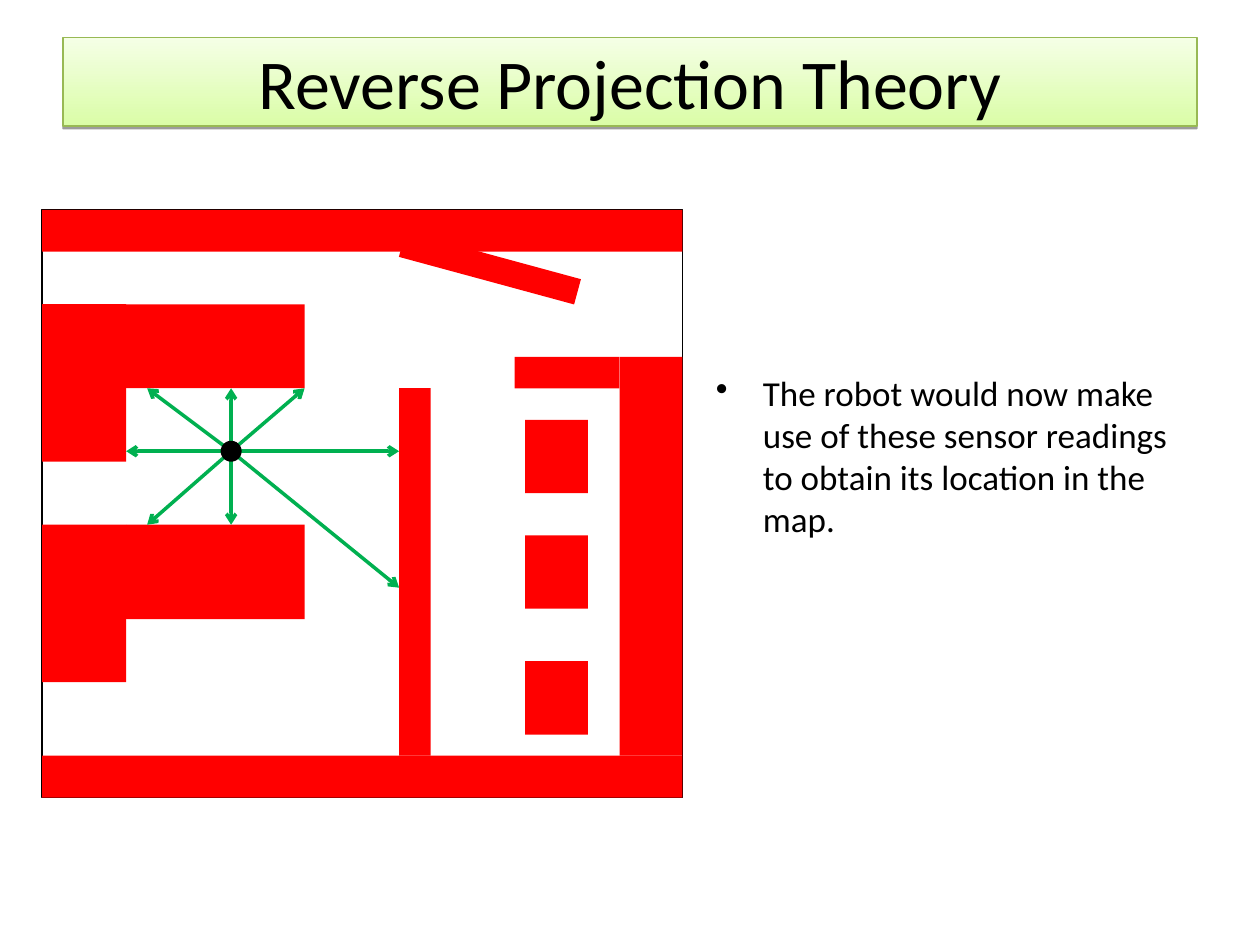
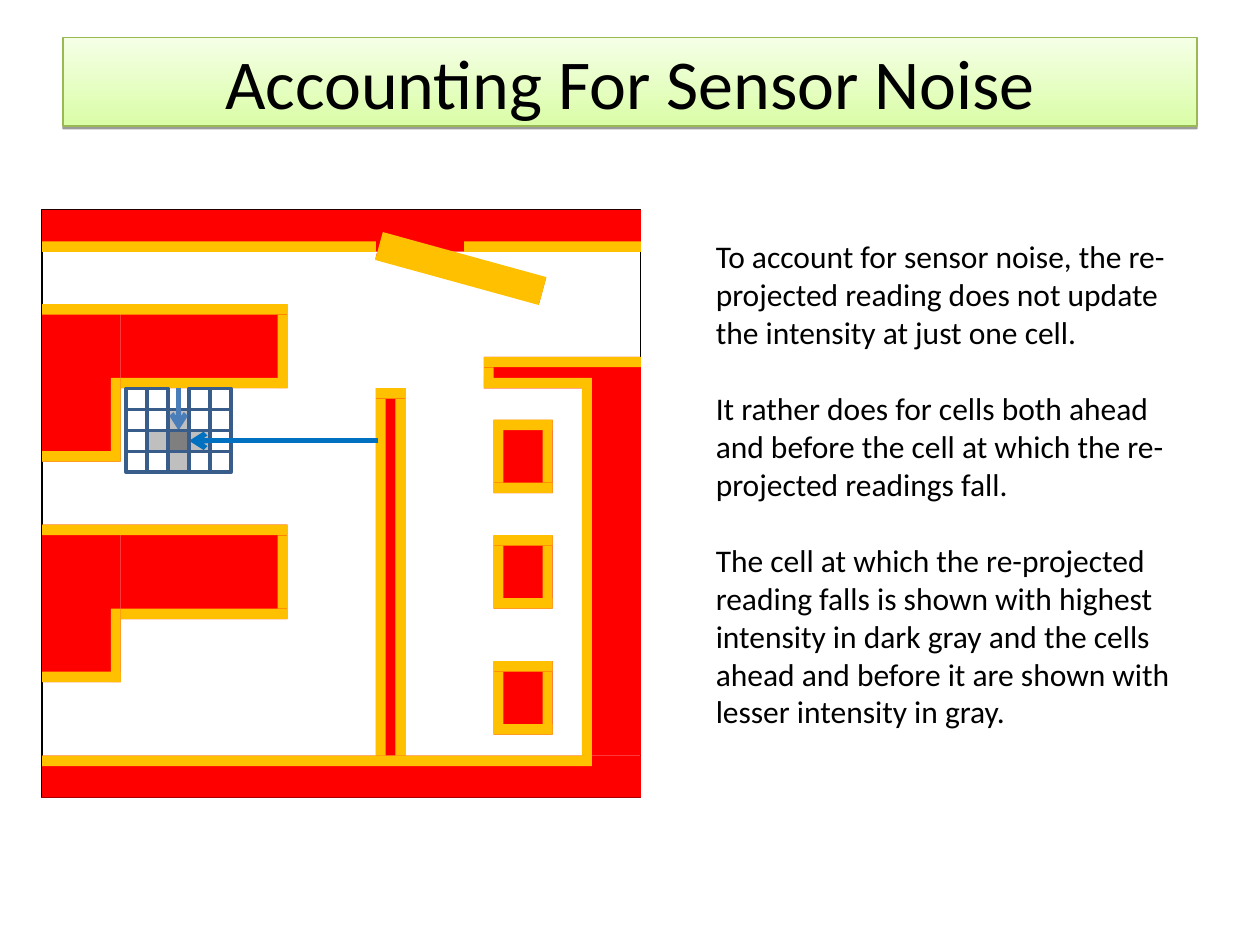
from dataclasses import dataclass

from lxml.etree import SubElement
from pptx import Presentation
from pptx.dml.color import RGBColor
from pptx.enum.shapes import MSO_CONNECTOR as Connector, MSO_SHAPE as Preset
from pptx.enum.text import MSO_ANCHOR as Anchor, PP_ALIGN as Align
from pptx.oxml.ns import qn
from pptx.util import Cm, Pt

BLACK = RGBColor(0x00, 0x00, 0x00)
WHITE = RGBColor(0xFF, 0xFF, 0xFF)
WALL_RED = RGBColor(0xFF, 0x00, 0x00)
EDGE_AMBER = RGBColor(0xFF, 0xC0, 0x00)
SENSOR_GREEN = RGBColor(0x00, 0xB0, 0x50)
READING_BLUE = RGBColor(0x00, 0x70, 0xC0)
READING_STEEL = RGBColor(0x4A, 0x7E, 0xBB)
CELL_LINE = RGBColor(0x38, 0x5D, 0x8A)
LIGHT_GRAY = RGBColor(0xBF, 0xBF, 0xBF)
DARK_GRAY = RGBColor(0x7F, 0x7F, 0x7F)
TITLE_LINE = RGBColor(0x98, 0xB9, 0x54)
TITLE_BOTTOM = RGBColor(0xDA, 0xFD, 0xA7)
TITLE_TOP = RGBColor(0xF5, 0xFF, 0xE6)
FONT = "Calibri"

MAP_COLUMNS, MAP_ROWS = 61, 56
CHAIRS = [(46, row, 6, 7) for row in (20, 31, 43)]
WALLS = [
    (0, 9, 8, 15), (8, 9, 17, 8),
    (0, 30, 8, 15), (8, 30, 17, 9),
    (0, 52, 61, 4), (34, 17, 3, 35), (0, 0, 61, 4),
    (55, 14, 6, 38), (45, 14, 10, 3),
] + CHAIRS
DOOR = (34, 4.3, 17.3, 2.5)
DOOR_EDGE = (34, 4.22, 17.3, 2.76)
WALL_EDGES = [
    (0, 3, 34, 1), (43, 3, 18, 1), (0, 52, 55, 1),
    (0, 9, 25, 1), (24, 10, 1, 7), (8, 16, 17, 1), (7, 16, 1, 7), (0, 23, 8, 1),
    (0, 30, 25, 1), (24, 31, 1, 7), (8, 38, 17, 1), (7, 38, 1, 7), (0, 44, 8, 1),
    (34, 17, 3, 1), (34, 18, 1, 34), (36, 18, 1, 34),
    (45, 14, 16, 1), (45, 15, 1, 2), (45, 16, 10, 1), (55, 16, 1, 37),
]
ROBOT = (18, 23)
SENSOR_HITS = [(34, 23), (18, 17), (8, 23), (18, 30), (25, 17), (10, 30), (10, 17), (34, 36)]
GRID_COLUMNS, GRID_ROWS = 5, 4
HIT_COLUMN, HIT_ROW = 2, 2


@dataclass
class Box:
    left: int
    top: int
    width: int
    height: int

    def region(self, columns, rows, left, top, width=0, height=0):
        column, row = self.width / columns, self.height / rows
        return Box(round(self.left + left * column), round(self.top + top * row),
                   round(width * column), round(height * row))

    def on_map(self, *place):
        return self.region(MAP_COLUMNS, MAP_ROWS, *place)


TITLE_BOX = Box(Cm(1.27), Cm(0.76), Cm(22.86), Cm(1.78))
WIDE_MAP = Box(Cm(0.85), Cm(4.23), Cm(12.91), Cm(11.85))
NARROW_MAP = Box(Cm(0.85), Cm(4.23), Cm(12.07), Cm(11.85))
CELL_GRID = Box(Cm(2.54), Cm(7.83), Cm(2.12), Cm(1.69))
BULLET_BOX = Box(Cm(14.18), Cm(7.37), Cm(10.16), Cm(7.87))
NOISE_BOX = Box(Cm(14.18), Cm(4.66), Cm(10.16), Cm(10.16))


def add_block(shapes, box, fill, line=None, weight=0, preset=Preset.RECTANGLE, rotation=0):
    shape = shapes.add_shape(preset, box.left, box.top, box.width, box.height)
    shape.shadow.inherit = False
    shape.rotation = rotation
    shape.fill.solid()
    shape.fill.fore_color.rgb = fill
    if line is None:
        shape.line.fill.background()
    else:
        shape.line.color.rgb = line
        shape.line.width = Pt(weight)
    return shape


def add_arrow(shapes, start, end, color, weight):
    connector = shapes.add_connector(Connector.STRAIGHT, start.left, start.top, end.left, end.top)
    connector.line.color.rgb = color
    connector.line.width = Pt(weight)
    properties = connector.element.spPr
    SubElement(properties.find(qn("a:ln")), qn("a:tailEnd"), type="arrow")
    SubElement(properties, qn("a:effectLst"))
    return connector


def style(paragraph, size):
    paragraph.font.name = FONT
    paragraph.font.size = Pt(size)
    paragraph.font.color.rgb = BLACK


def add_title(slide, box, text):
    shape = add_block(slide.shapes, box, WHITE, TITLE_LINE, 0.75)
    shape.fill.gradient()
    shape.fill.gradient_angle = 90
    for stop, color in zip(shape.fill.gradient_stops, (TITLE_BOTTOM, TITLE_TOP)):
        stop.color.rgb = color
    effects = shape.element.spPr.find(qn("a:effectLst"))
    shadow = SubElement(effects, qn("a:outerShdw"), blurRad="0", dist=str(Pt(1.6)),
                        dir="5400000", rotWithShape="0")
    shadow_color = SubElement(shadow, qn("a:srgbClr"), val=str(BLACK))
    SubElement(shadow_color, qn("a:alpha"), val="38000")
    frame = shape.text_frame
    frame.vertical_anchor = Anchor.MIDDLE
    paragraph = frame.paragraphs[0]
    paragraph.text = text
    paragraph.alignment = Align.CENTER
    style(paragraph, 40)


def add_body(slide, box, texts, size, gap=0, bullet_indent=None):
    frame = slide.shapes.add_textbox(box.left, box.top, box.width, box.height).text_frame
    frame.word_wrap = True
    for index, text in enumerate(texts):
        paragraph = frame.add_paragraph() if index else frame.paragraphs[0]
        paragraph.text = text
        if bullet_indent:
            properties = paragraph._p.get_or_add_pPr()
            properties.set("marL", str(bullet_indent))
            properties.set("indent", str(-bullet_indent))
            SubElement(properties, qn("a:buChar"), char="•")
        if index:
            paragraph.space_before = Pt(gap)
        style(paragraph, size)


def add_map(slide, box):
    shapes = slide.shapes.add_group_shape().shapes
    add_block(shapes, box, WHITE, BLACK)
    for wall in WALLS:
        add_block(shapes, box.on_map(*wall), WALL_RED)
    add_block(shapes, box.on_map(*DOOR), WALL_RED, rotation=15.2)


def add_sensor_readings(slide, box):
    shapes = slide.shapes.add_group_shape().shapes
    for hit in SENSOR_HITS:
        add_arrow(shapes, box.on_map(*ROBOT), box.on_map(*hit), SENSOR_GREEN, 2)
    column, row = ROBOT
    add_block(shapes, box.on_map(column - 1, row - 1, 2, 2), BLACK, preset=Preset.OVAL)


def add_wall_edges(slide, box):
    shapes = slide.shapes.add_group_shape().shapes
    chair_edges = [
        edge for left, top, width, height in CHAIRS for edge in (
            (left, top, width, 1), (left, top + height - 1, width, 1),
            (left, top + 1, 1, height - 2), (left + width - 1, top + 1, 1, height - 2))
    ]
    for edge in WALL_EDGES + chair_edges:
        add_block(shapes, box.on_map(*edge), EDGE_AMBER)
    add_block(shapes, box.on_map(*DOOR_EDGE), EDGE_AMBER, rotation=15.4)


def add_cell_grid(slide, box):
    def place(*spot):
        return box.region(GRID_COLUMNS, GRID_ROWS, *spot)

    def add_cell(column, row, fill):
        return add_block(slide.shapes, place(column, row, 1, 1), fill, CELL_LINE, 2)

    cells = [(column, row) for row in range(GRID_ROWS) for column in range(GRID_COLUMNS)]
    near = [cell for cell in cells if abs(cell[0] - HIT_COLUMN) + abs(cell[1] - HIT_ROW) == 1]
    uncovered = [(HIT_COLUMN, 0), (HIT_COLUMN, HIT_ROW)]
    for cell in cells:
        if cell not in near + uncovered:
            add_cell(*cell, WHITE)
    for cell in near:
        add_cell(*cell, LIGHT_GRAY)

    right_end = place(HIT_COLUMN + 1, HIT_ROW + 0.5)
    top_end = place(HIT_COLUMN + 0.5, HIT_ROW)
    from_right = add_arrow(slide.shapes, place(12, HIT_ROW + 0.5), right_end, READING_BLUE, 3)
    from_top = add_arrow(slide.shapes, place(HIT_COLUMN + 0.5, 0), top_end, READING_STEEL, 3)
    hit_cell = add_cell(HIT_COLUMN, HIT_ROW, DARK_GRAY)
    from_right.end_connect(hit_cell, 3)
    from_top.end_connect(hit_cell, 0)


def add_slide(presentation, title):
    slide = presentation.slides.add_slide(presentation.slide_layouts[6])
    add_title(slide, TITLE_BOX, title)
    return slide


def add_projection_slide(presentation):
    slide = add_slide(presentation, "Reverse Projection Theory")
    add_map(slide, WIDE_MAP)
    add_sensor_readings(slide, WIDE_MAP)
    add_body(slide, BULLET_BOX, [
        "The robot would now make use of these sensor readings to obtain its location in the map.",
    ], 20, bullet_indent=Cm(0.95))


def add_noise_slide(presentation):
    slide = add_slide(presentation, "Accounting For Sensor Noise")
    add_map(slide, NARROW_MAP)
    add_wall_edges(slide, NARROW_MAP)
    add_cell_grid(slide, CELL_GRID)
    add_body(slide, NOISE_BOX, [
        "To account for sensor noise, the re-projected reading does not update the intensity "
        "at just one cell.",
        "It rather does for cells both ahead and before the cell at which the re-projected "
        "readings fall.",
        "The cell at which the re-projected reading falls is shown with highest intensity in "
        "dark gray and the cells ahead and before it are shown with lesser intensity in gray.",
    ], 18, gap=22)


def main():
    presentation = Presentation()
    presentation.slide_width = Cm(25.4)
    presentation.slide_height = Cm(19.05)
    add_projection_slide(presentation)
    add_noise_slide(presentation)
    presentation.save("out.pptx")


if __name__ == "__main__":
    main()
